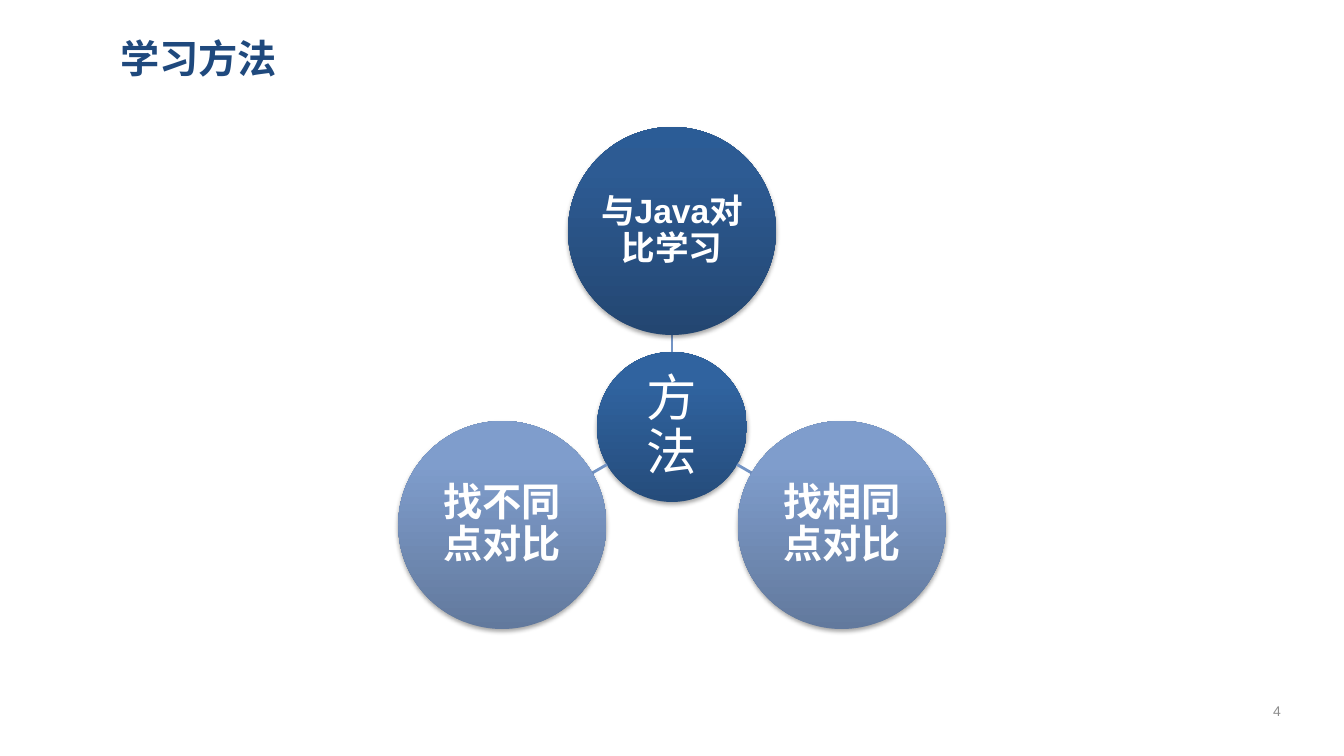
from math import cos, sin, radians
from pptx import Presentation
from pptx.dml.color import RGBColor
from pptx.enum.shapes import MSO_CONNECTOR as LINK, MSO_SHAPE as KIND
from pptx.enum.text import MSO_ANCHOR as ANCHOR, PP_ALIGN as ALIGN
from pptx.oxml import parse_xml
from pptx.util import Pt

TITLE, NUMBER = "学习方法", "4"
HUB = "方法"
DARK = ("234671", "2D5B93", "2B5C96")
PALE = ("62799D", "7F9DCC", "7E9DCE")
CORE = ("254C7B", "30639F", "2F63A2")
NODES = [
    ("与Java对比学习", -90, 24, DARK),
    ("找相同点对比", 30, 28, PALE),
    ("找不同点对比", 150, 28, PALE),
]
NAVY = RGBColor(0x1F, 0x49, 0x7D)
BLUE = RGBColor(0x73, 0x94, 0xC5)
GREY = RGBColor(0x8C, 0x8C, 0x8C)
WHITE = RGBColor(0xFF, 0xFF, 0xFF)
LATIN, HAN = "Arial", "Noto Sans CJK SC"
MID_X, MID_Y = 672, 427
HUB_R, NODE_R, REACH = 75, 104, 196
NS = 'xmlns:a="http://schemas.openxmlformats.org/drawingml/2006/main"'


def px(*vals):
    """Turn pixels into EMU."""
    return [round(v * 914400 / 100.8) for v in vals]


def write(shape, text, size, color, align, bold=False, font=LATIN, pad=(9, 4)):
    """Put one formatted paragraph into a shape."""
    frame = shape.text_frame
    frame.text = text
    frame.word_wrap = True
    frame.vertical_anchor = ANCHOR.MIDDLE
    frame.margin_left = frame.margin_right = px(pad[0])[0]
    frame.margin_top = frame.margin_bottom = px(pad[1])[0]
    para = frame.paragraphs[0]
    para.alignment = align
    run = para.runs[0]
    run.font.size, run.font.bold = Pt(size), bold
    run.font.name, run.font.color.rgb = font, color
    ea = parse_xml(f'<a:ea {NS} typeface="{HAN}"/>')
    run.font._element.find("{*}latin").addnext(ea)
    return para


def spot(angle, dist):
    """Find the point at an angle and distance from the hub."""
    turn = radians(angle)
    return MID_X + dist * cos(turn), MID_Y + dist * sin(turn)


def disc(shapes, x, y, r, text, size, tones, bold, pad):
    """Draw a shaded circle with its label."""
    oval = shapes.add_shape(KIND.OVAL, *px(x - r, y - r, 2 * r, 2 * r))
    oval.line.fill.background()
    stops = "".join(
        f'<a:gs pos="{pos}"><a:srgbClr val="{tone}"/></a:gs>'
        for pos, tone in zip((0, 80000, 100000), tones))
    props = oval._element.spPr
    props.find("{*}prstGeom").addnext(parse_xml(
        f'<a:gradFill {NS} rotWithShape="1"><a:gsLst>{stops}</a:gsLst>'
        '<a:lin ang="16200000" scaled="0"/></a:gradFill>'))
    props.append(parse_xml(
        f'<a:effectLst {NS}><a:outerShdw blurRad="40000" dist="23000" '
        'dir="5400000" rotWithShape="0"><a:srgbClr val="000000">'
        '<a:alpha val="35000"/></a:srgbClr></a:outerShdw></a:effectLst>'))
    para = write(oval, text, size, WHITE, ALIGN.CENTER, bold, pad=(pad, pad))
    para.line_spacing = 0.9


def main():
    """Build the slide."""
    deck = Presentation()
    deck.slide_width, deck.slide_height = px(1344, 756)
    shapes = deck.slides.add_slide(deck.slide_layouts[5]).shapes
    head = shapes.title
    head.left, head.top, head.width, head.height = px(111, 24, 1174, 68)
    write(head, TITLE, 28, NAVY, ALIGN.LEFT, True, HAN)
    disc(shapes, MID_X, MID_Y, HUB_R, HUB, 36, CORE, False, 3)
    for text, angle, size, tones in NODES:
        ends = spot(angle, HUB_R) + spot(angle, REACH - NODE_R)
        link = shapes.add_connector(LINK.STRAIGHT, *px(*ends))
        link.line.color.rgb, link.line.width = BLUE, Pt(2)
        link._element.spPr.append(parse_xml(f'<a:effectLst {NS}/>'))
        disc(shapes, *spot(angle, REACH), NODE_R, text, size, tones, True, 2)
    page = shapes.add_textbox(*px(1244, 691, 66, 40))
    write(page, NUMBER, 10, GREY, ALIGN.CENTER)
    deck.save("out.pptx")


if __name__ == "__main__":
    main()
